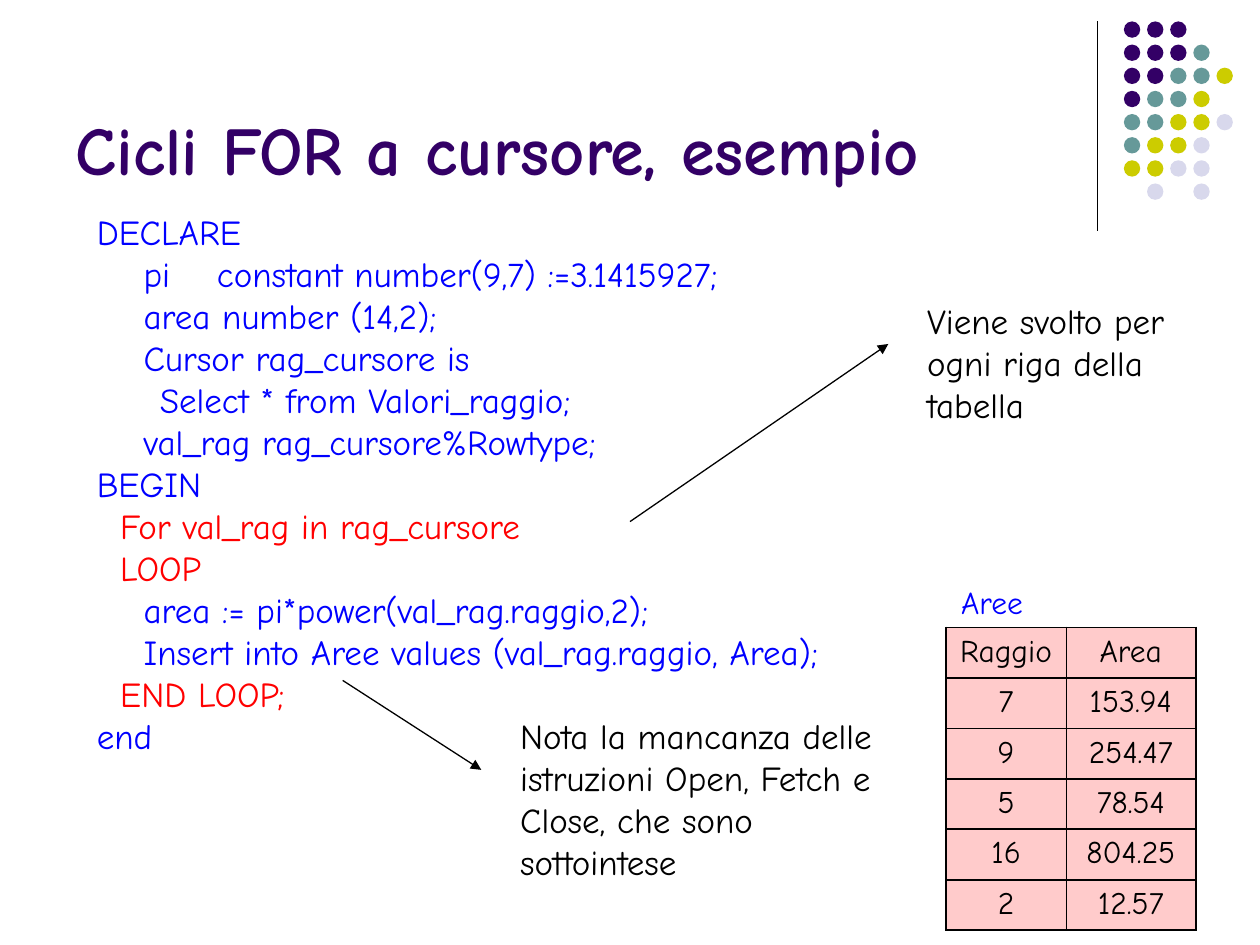
from lxml.etree import SubElement
from pptx import Presentation
from pptx.dml.color import RGBColor
from pptx.enum.shapes import MSO_CONNECTOR as Connector, MSO_SHAPE as Shape
from pptx.enum.text import MSO_ANCHOR as Anchor, MSO_AUTO_SIZE as AutoSize, PP_ALIGN as Align
from pptx.oxml.ns import qn
from pptx.util import Inches, Pt

BLACK = RGBColor(0x00, 0x00, 0x00)
BLUE = RGBColor(0x00, 0x00, 0xFF)
RED = RGBColor(0xFF, 0x00, 0x00)
PURPLE = RGBColor(0x33, 0x00, 0x66)
TEAL = RGBColor(0x66, 0x99, 0x99)
OLIVE = RGBColor(0xCC, 0xCC, 0x00)
LILAC = RGBColor(0xD8, 0xD8, 0xEC)
PINK = RGBColor(0xFF, 0x99, 0x99)

DOT_COLOURS = {"P": PURPLE, "T": TEAL, "O": OLIVE, "L": LILAC}
DOT_ROWS = ["PPP", "PPPT", "PPTTO", "PTTO", "TTOOL", "TOOL", "OOLL", " L L"]

CODE = [
    ("DECLARE", BLUE),
    ("    pi    constant number(9,7) :=3.1415927;", BLUE),
    ("    area number (14,2);", BLUE),
    ("    Cursor rag_cursore is", BLUE),
    ("\tSelect * from Valori_raggio;", BLUE),
    ("    val_rag rag_cursore%Rowtype;", BLUE),
    ("BEGIN", BLUE),
    ("  For val_rag in rag_cursore", RED),
    ("  LOOP", RED),
    ("    area := pi*power(val_rag.raggio,2);", BLUE),
    ("    Insert into Aree values (val_rag.raggio, Area);", BLUE),
    ("  END LOOP;", RED),
    ("end", BLUE),
]

AREAS = [
    ("Raggio", "Area"),
    ("7", "153.94"),
    ("9", "254.47"),
    ("5", "78.54"),
    ("16", "804.25"),
    ("2", "12.57"),
]


class SlideWriter:
    """Draws styled elements on the current slide."""

    font = "Comic Neue"
    thick, thin = 1.08, 0.45

    def __init__(self, page):
        self.page = page

    def span(self, para, text, size, colour, bold=False):
        span = para.add_run()
        span.text = text
        span.font.name = self.font
        span.font.size = Pt(size)
        span.font.bold = bold
        span.font.color.rgb = colour

    def title(self, text, left, top, width, height):
        box = self.page.shapes.title
        box.left, box.top = Inches(left), Inches(top)
        box.width, box.height = Inches(width), Inches(height)
        frame = box.text_frame
        frame.auto_size = AutoSize.NONE
        frame.vertical_anchor = Anchor.BOTTOM
        para = frame.paragraphs[0]
        para.alignment = Align.LEFT
        self.span(para, text, 39, PURPLE, bold=True)

    def text(self, lines, left, top, width, height, size=20, wrap=True):
        box = self.page.shapes.add_textbox(
            Inches(left), Inches(top), Inches(width), Inches(height))
        frame = box.text_frame
        frame.word_wrap = wrap
        frame.auto_size = AutoSize.SHAPE_TO_FIT_TEXT
        for index, (text, colour) in enumerate(lines):
            para = frame.add_paragraph() if index else frame.paragraphs[0]
            self.span(para, text, size, colour)

    def line(self, start_x, start_y, end_x, end_y, arrow=False):
        line = self.page.shapes.add_connector(
            Connector.STRAIGHT, Inches(start_x), Inches(start_y), Inches(end_x), Inches(end_y))
        line.line.color.rgb = BLACK
        line.line.width = Pt(0.75)
        if arrow:
            SubElement(line.line._get_or_add_ln(), qn("a:tailEnd"), type="triangle")
        SubElement(line._element.spPr, qn("a:effectLst"))

    def dots(self, rows, left, top, size, pitch):
        for row, marks in enumerate(rows):
            for column, mark in enumerate(marks):
                if mark in DOT_COLOURS:
                    dot = self.page.shapes.add_shape(
                        Shape.OVAL, Inches(left + column * pitch), Inches(top + row * pitch),
                        Inches(size), Inches(size))
                    dot.shadow.inherit = False
                    dot.fill.solid()
                    dot.fill.fore_color.rgb = DOT_COLOURS[mark]
                    dot.line.fill.background()

    def border(self, cell, side, width):
        edge = SubElement(cell._tc.get_or_add_tcPr(), qn(f"a:ln{side}"), w=str(Pt(width)))
        fill = SubElement(edge, qn("a:solidFill"))
        SubElement(fill, qn("a:srgbClr"), val=str(BLACK))

    def cell(self, cell, text, first, last):
        para = cell.text_frame.paragraphs[0]
        para.alignment = Align.CENTER
        self.span(para, text, 18, BLACK)
        self.border(cell, "L", self.thick if first else self.thin)
        self.border(cell, "R", self.thick if last else self.thin)
        self.border(cell, "T", self.thick)
        self.border(cell, "B", self.thick)
        cell.fill.solid()
        cell.fill.fore_color.rgb = PINK
        colour = cell._tc.tcPr.find(qn("a:solidFill")).find(qn("a:srgbClr"))
        SubElement(colour, qn("a:alpha"), val="50000")

    def table(self, rows, left, top, widths, row_height):
        table = self.page.shapes.add_table(
            len(rows), len(widths), Inches(left), Inches(top),
            Inches(sum(widths)), Inches(row_height * len(rows))).table
        table.first_row = table.horz_banding = False
        for column, width in zip(table.columns, widths):
            column.width = Inches(width)
        for row, values in enumerate(rows):
            for column, value in enumerate(values):
                self.cell(table.cell(row, column), value, column == 0, column == len(widths) - 1)


def main():
    deck = Presentation()
    deck.slide_width, deck.slide_height = Inches(10), Inches(7.5)
    writer = SlideWriter(deck.slides.add_slide(deck.slide_layouts[5]))
    writer.line(8.71, 0.17, 8.71, 1.83)
    writer.dots(DOT_ROWS, 8.92, 0.17, size=0.13, pitch=0.18375)
    writer.title("Cicli FOR a cursore, esempio", 0.5, 0.13, 8.25, 1.42)
    writer.text(CODE, 0.67, 1.62, 9.33, 4.44)
    writer.table(AREAS, 7.51, 4.98, widths=[0.95, 1.03], row_height=0.4)
    writer.text([("Aree", BLUE)], 7.53, 4.58, 0.69, 0.4, size=18, wrap=False)
    writer.line(5, 4.14, 7.05, 2.73, arrow=True)
    writer.text([("Viene svolto per ogni riga della tabella", BLACK)], 7.26, 2.33, 2.54, 1.1)
    writer.line(2.72, 5.4, 3.82, 6.11, arrow=True)
    writer.text(
        [("Nota la mancanza delle istruzioni Open, Fetch e Close, che sono sottointese", BLACK)],
        4.03, 5.62, 3.09, 1.44)
    deck.save("out.pptx")


if __name__ == "__main__":
    main()
